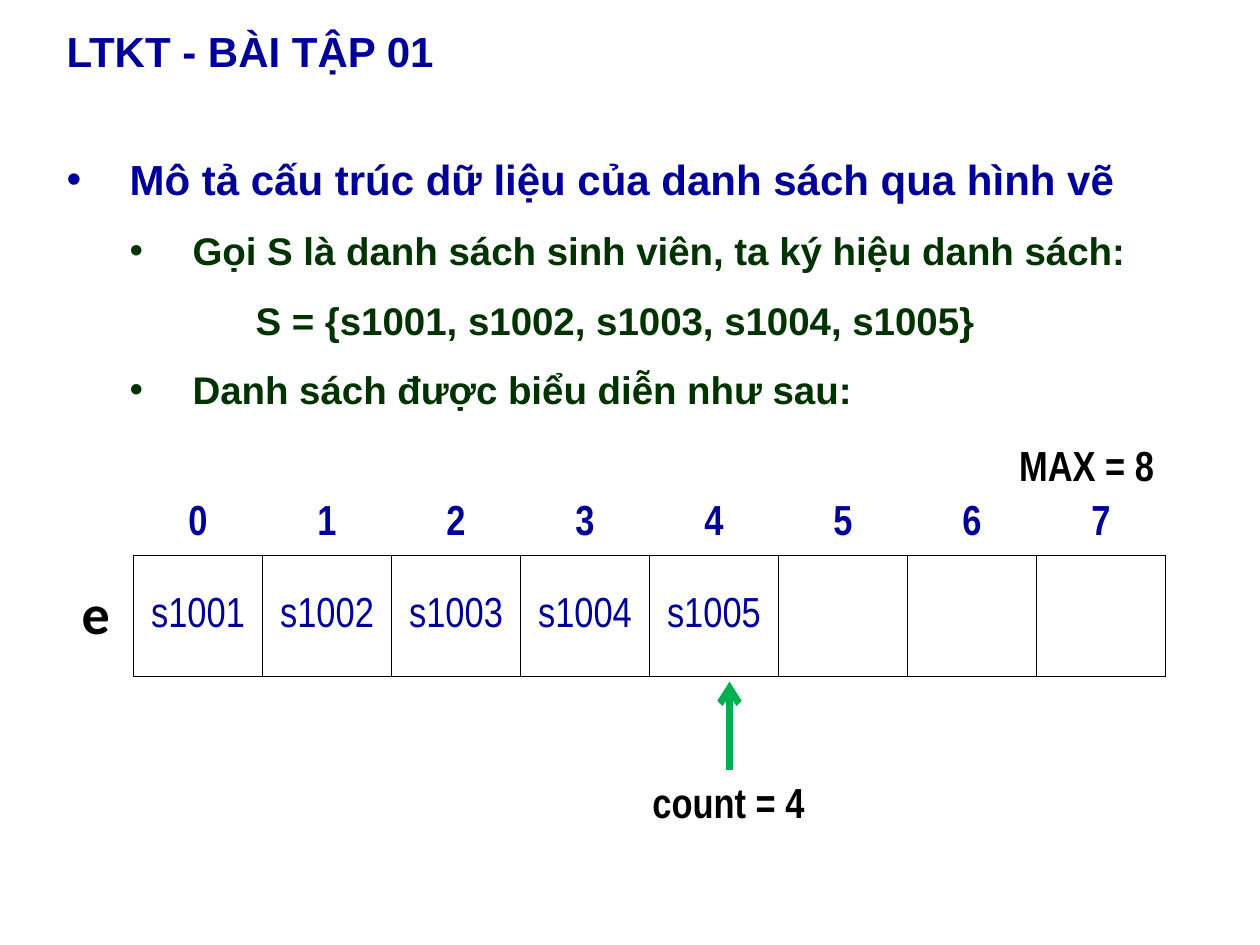
from lxml import etree
from pptx import Presentation
from pptx.dml.color import RGBColor
from pptx.enum.shapes import MSO_CONNECTOR
from pptx.enum.text import MSO_ANCHOR, PP_ALIGN
from pptx.oxml.ns import qn
from pptx.util import Inches, Pt

STRAIGHT = MSO_CONNECTOR.STRAIGHT
MIDDLE = MSO_ANCHOR.MIDDLE
LEFT, CENTER, JUSTIFY = PP_ALIGN.LEFT, PP_ALIGN.CENTER, PP_ALIGN.JUSTIFY

THEME = {
    "navy": "000099", "green": "003300", "black": "000000",
    "white": "FFFFFF", "arrow": "00B050",
    "sans": "Arial", "narrow": "Arial Narrow", "label": "Calibri",
    "large": 32, "normal": 24, "small": 22,
    "border": 1, "arrow_width": 4, "gap": 12, "leading": 1.05,
}

TITLE = "LTKT - BÀI TẬP 01"
HEADING = {"color": "navy", "size": "normal", "left": 0.5, "bullet": "•"}
POINT = {"color": "green", "size": "small", "left": 1, "bullet": "•"}
FORMULA = {"color": "green", "size": "small", "left": 1.5}
BODY = [
    ("Mô tả cấu trúc dữ liệu của danh sách qua hình vẽ", HEADING),
    ("Gọi S là danh sách sinh viên, ta ký hiệu danh sách:", POINT),
    ("S = {s1001, s1002, s1003, s1004, s1005}", FORMULA),
    ("Danh sách được biểu diễn như sau:", POINT),
]
CAPACITY = 8
STUDENTS = ["s1001", "s1002", "s1003", "s1004", "s1005"]
ARRAY_ROWS = [
    [str(index) for index in range(CAPACITY)],
    STUDENTS + [""] * (CAPACITY - len(STUDENTS)),
]
LABELS = [
    ("e", (0.55, 4.54, 0.35, 0.64), {"font": "label", "size": "large"}),
    ("MAX = 8", (7.99, 3.44, 1.42, 0.5), {"font": "narrow"}),
    ("count = 4", (5.08, 6.11, 1.42, 0.5), {"font": "narrow"}),
]

SLIDE_SIZE = (10, 7.5)
TITLE_AREA = (0.43, 0.13, 9.21, 0.63)
BODY_AREA = (0.43, 1.15, 9.21, 2.28)
ARRAY_LEFT, ARRAY_TOP, CELL_WIDTH = 1.06, 3.91, 1.024
ROW_HEIGHTS = (0.47, 0.96)
ARROW_X, ARROW_START, ARROW_END = 5.79, 6.11, 5.41


def color_of(name):
    return RGBColor.from_string(THEME[name])


def write(para, text, *, font="sans", size="normal", color="black", bold=True,
          align=LEFT, left=0, bullet=None, before=0, leading=None):
    para.alignment = align
    para.space_before = Pt(before)
    if leading:
        para.line_spacing = leading
    properties = para._p.get_or_add_pPr()
    properties.set("marL", str(Inches(left)))
    properties.set("indent", str(Inches(-0.5 if bullet else 0)))
    if bullet:
        etree.SubElement(properties, qn("a:buFont"), typeface=THEME["sans"])
        etree.SubElement(properties, qn("a:buChar"), char=bullet)
    span = para.add_run()
    span.text = text
    span.font.name = THEME[font]
    span.font.size = Pt(THEME[size])
    span.font.bold = bold
    span.font.color.rgb = color_of(color)


def add_box(page, area, lines, wrap=True):
    """Place a text box; lines holds pairs of text and format."""
    frame = page.shapes.add_textbox(*map(Inches, area)).text_frame
    frame.word_wrap = wrap
    for number, (text, style) in enumerate(lines):
        para = frame.add_paragraph() if number else frame.paragraphs[0]
        write(para, text, before=THEME["gap"] if number else 0, **style)


def set_borders(cell, visible):
    """Draw the sides named in visible and clear the others."""
    properties = cell._tc.get_or_add_tcPr()
    for position, side in enumerate("LRTB"):
        line = etree.Element(qn(f"a:ln{side}"), w=str(Pt(THEME["border"])))
        if side in visible:
            fill = etree.SubElement(line, qn("a:solidFill"))
            etree.SubElement(fill, qn("a:srgbClr"), val=THEME["black"])
        else:
            etree.SubElement(line, qn("a:noFill"))
        properties.insert(position, line)


def add_array(page):
    table = page.shapes.add_table(
        len(ARRAY_ROWS), CAPACITY, Inches(ARRAY_LEFT), Inches(ARRAY_TOP),
        Inches(CELL_WIDTH * CAPACITY), Inches(sum(ROW_HEIGHTS))).table
    table.first_row = table.horz_banding = False
    for column in table.columns:
        column.width = Inches(CELL_WIDTH)
    for row, values in enumerate(ARRAY_ROWS):
        table.rows[row].height = Inches(ROW_HEIGHTS[row])
        is_index = row == 0
        for column, text in enumerate(values):
            cell = table.cell(row, column)
            cell.vertical_anchor = MIDDLE
            cell.fill.solid()
            cell.fill.fore_color.rgb = color_of("white")
            set_borders(cell, "B" if is_index else "LRTB")
            if text:
                write(cell.text_frame.paragraphs[0], text, font="narrow",
                      color="navy", bold=is_index, align=CENTER)


def add_arrow(page):
    x = Inches(ARROW_X)
    arrow = page.shapes.add_connector(
        STRAIGHT, x, Inches(ARROW_START), x, Inches(ARROW_END))
    arrow.line.color.rgb = color_of("arrow")
    arrow.line.width = Pt(THEME["arrow_width"])
    etree.SubElement(arrow.line._get_or_add_ln(), qn("a:tailEnd"), type="arrow")
    etree.SubElement(arrow._element.spPr, qn("a:effectLst"))


def main():
    deck = Presentation()
    deck.slide_width, deck.slide_height = map(Inches, SLIDE_SIZE)
    page = deck.slides.add_slide(deck.slide_layouts[6])
    prose = {"align": JUSTIFY, "leading": THEME["leading"]}
    add_box(page, BODY_AREA, [(text, {**prose, **style}) for text, style in BODY])
    add_array(page)
    for text, area, style in LABELS:
        add_box(page, area, [(text, style)], wrap=False)
    add_arrow(page)
    add_box(page, TITLE_AREA, [(TITLE, {**prose, "color": "navy"})])
    deck.save("out.pptx")


if __name__ == "__main__":
    main()
